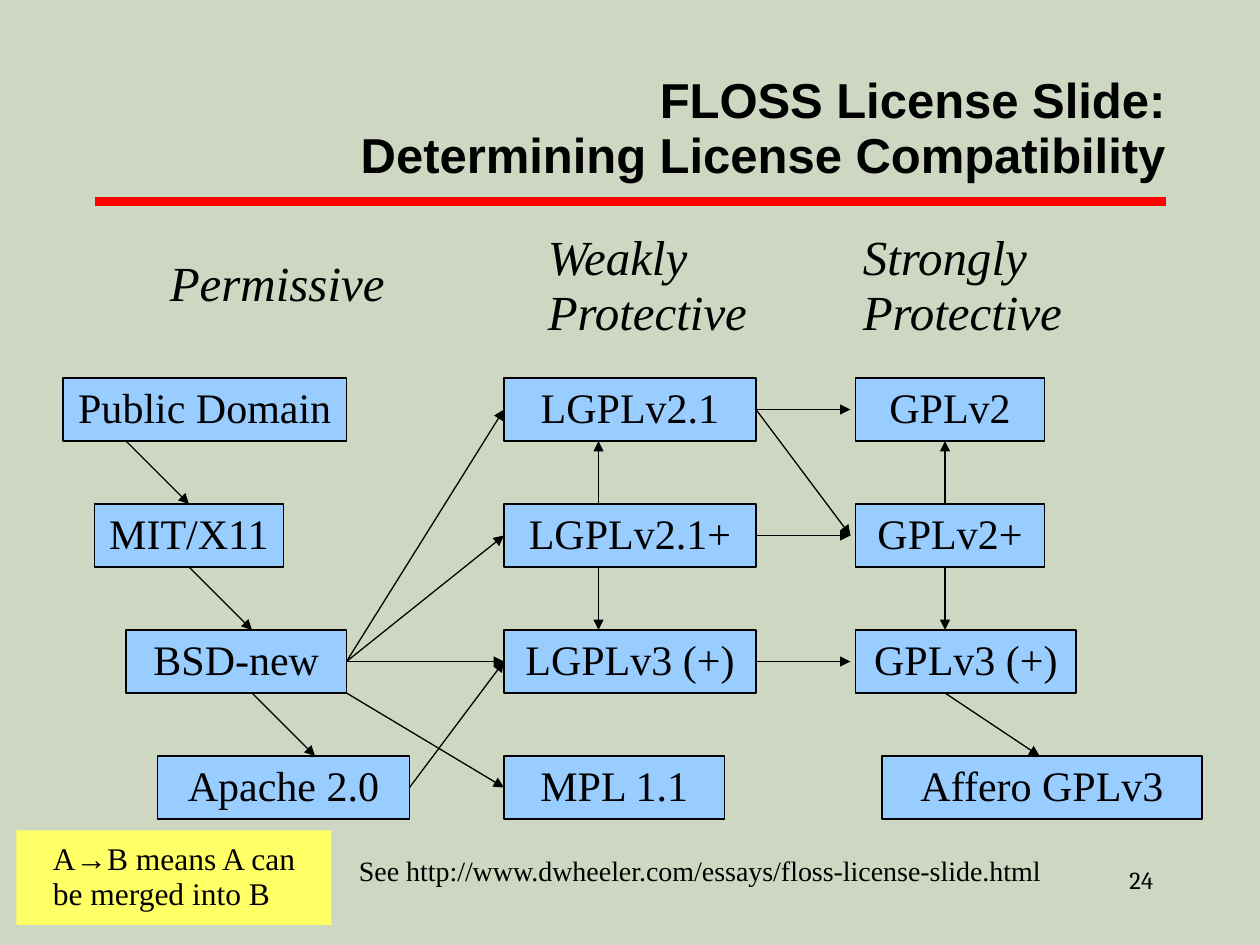
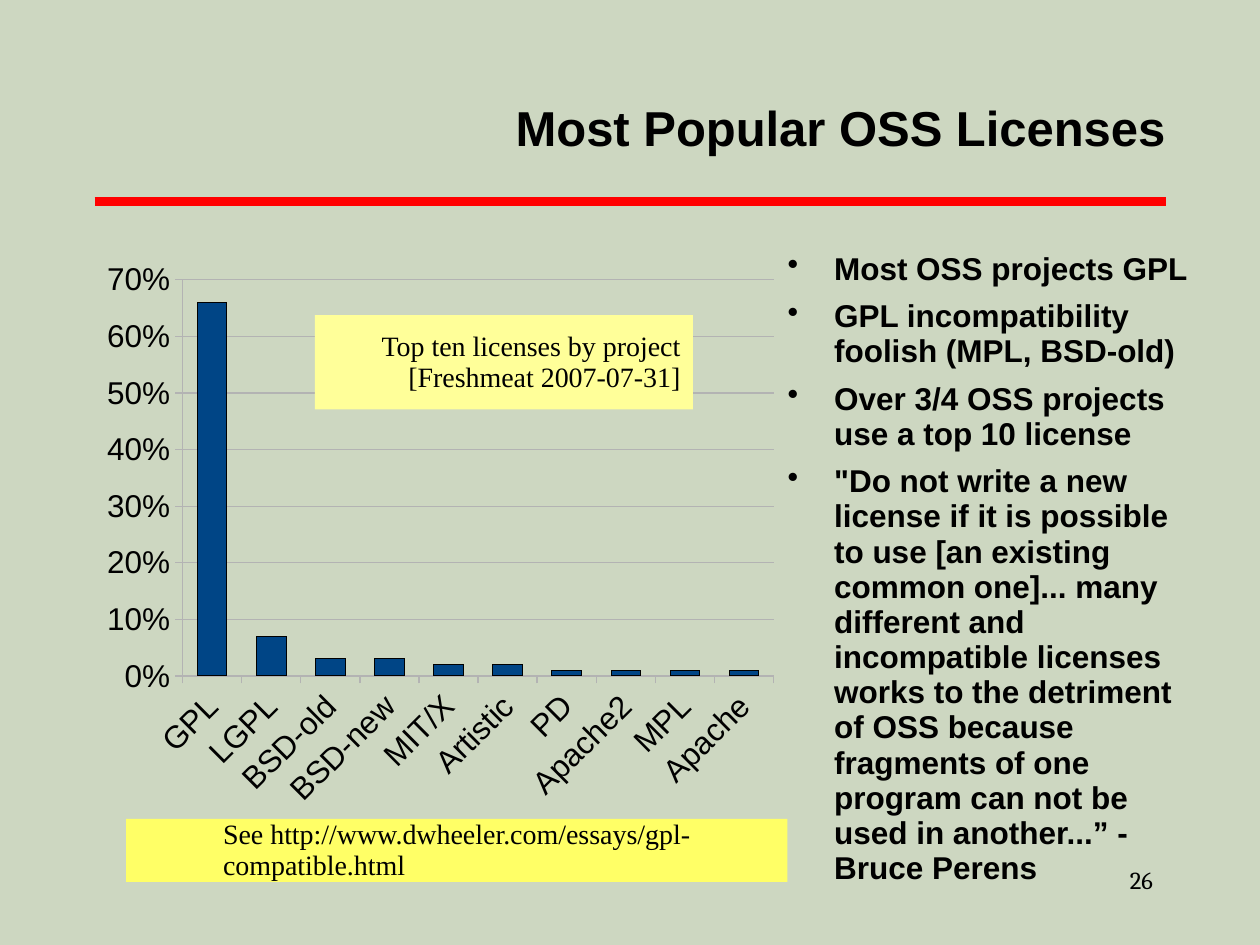
from typing import NamedTuple, Optional

import pptx
import pptx.chart.data
import pptx.dml.color
import pptx.enum.chart
import pptx.enum.dml
import pptx.enum.shapes
import pptx.enum.text
import pptx.oxml
import pptx.oxml.ns
import pptx.util
from lxml import etree

RGBColor = pptx.dml.color.RGBColor
ALIGN = pptx.enum.text.PP_ALIGN
ANCHOR = pptx.enum.text.MSO_ANCHOR
qn = pptx.oxml.ns.qn

PX = 9144  # EMU per px, 100 px to the inch

SAGE = RGBColor(0xCD, 0xD7, 0xC1)
RED = RGBColor(0xFF, 0x00, 0x00)
BLACK = RGBColor(0x00, 0x00, 0x00)
SKY = RGBColor(0x99, 0xCC, 0xFF)
YELLOW = RGBColor(0xFF, 0xFF, 0x66)
PALE_YELLOW = RGBColor(0xFF, 0xFF, 0x99)
NAVY = RGBColor(0x00, 0x45, 0x86)
GREY = RGBColor(0xB3, 0xB3, 0xB3)


class Style(NamedTuple):
    size: int
    font: str = "Times New Roman"
    bold: bool = False
    italic: bool = False


TITLE = Style(28, "Arial", bold=True)
PAGE_NUMBER = Style(14, "Cambria")
FAMILY = Style(28, italic=True)
LICENSE = Style(24)
LEGEND = Style(18)
REFERENCE = Style(16)
BULLET = Style(18, "Arial", bold=True)
AXIS = Style(18, "Arial")


class Area(NamedTuple):
    left: int
    top: int
    width: int
    height: int

    def emu(self) -> list[int]:
        return [length * PX for length in self]


class Insets(NamedTuple):
    left: int = 10
    top: int = 5
    right: int = 10
    bottom: int = 5


NO_INSETS = Insets(0, 0, 0, 0)


class Point(NamedTuple):
    x: float
    y: float


class License(NamedTuple):
    name: str
    left: int
    row: int
    width: int

    def area(self) -> Area:
        return Area(self.left, 300 + 100 * self.row, self.width, 50)

    def side_middles(self) -> list[Point]:
        """Middles of the sides, in connection site order."""
        left, top, width, height = self.area()
        x, y = left + width / 2, top + height / 2
        return [Point(x, top), Point(left, y), Point(x, top + height), Point(left + width, y)]


LICENSES = [
    License("Public Domain", 50, 0, 225),
    License("MIT/X11", 75, 1, 150),
    License("BSD-new", 100, 2, 175),
    License("Apache 2.0", 125, 3, 200),
    License("LGPLv2.1", 400, 0, 200),
    License("LGPLv2.1+", 400, 1, 200),
    License("LGPLv3 (+)", 400, 2, 200),
    License("MPL 1.1", 400, 3, 175),
    License("GPLv2", 679, 0, 150),
    License("GPLv2+", 679, 1, 150),
    License("GPLv3 (+)", 679, 2, 175),
    License("Affero GPLv3", 700, 3, 254),
]

FAMILIES = {
    "Permissive": Area(125, 200, 210, 53),
    "Weakly\nProtective": Area(425, 179, 190, 96),
    "Strongly\nProtective": Area(675, 179, 190, 96),
}

BSD_OUT = Point(275, 525)
MERGES = [
    *[(Point(100 + 50 * i, 350 + 100 * i), Point(150 + 50 * i, 400 + 100 * i)) for i in range(3)],
    *[(BSD_OUT, Point(400, y)) for y in (325, 425, 525)],
    *[(Point(x, start), Point(x, end)) for x in (475, 750) for start, end in ((400, 350), (450, 500))],
    *[(Point(600, y), Point(675, y)) for y in (325, 425, 525)],
    (Point(600, 325), Point(675, 425)),
    (Point(325, 625), Point(400, 525)),
    (Point(275, 550), Point(400, 625)),
    (Point(750, 550), Point(825, 600)),
]

SHARES = {
    "GPL": 0.66, "LGPL": 0.07, "BSD-old": 0.03, "BSD-new": 0.03, "MIT/X": 0.02,
    "Artistic": 0.02, "PD": 0.01, "Apache2": 0.01, "MPL": 0.01, "Apache": 0.01,
}

FINDINGS = [
    "Most OSS projects GPL",
    "GPL incompatibility foolish (MPL, BSD-old)",
    "Over 3/4 OSS projects use a top 10 license",
    '"Do not write a new license if it is possible to use [an existing common one]... '
    "many different and incompatible licenses works to the detriment of OSS because "
    "fragments of one program can not be used in another...” - Bruce Perens",
]


def set_font(font, style: Style) -> None:
    font.name = style.font
    font.size = pptx.util.Pt(style.size)
    font.bold = style.bold
    font.italic = style.italic
    font.color.rgb = BLACK


def write(shape, text: str, style: Style, align=ALIGN.LEFT, anchor=ANCHOR.TOP,
          insets: Insets = Insets(), bulleted: bool = False) -> None:
    """Fill a shape with text; a newline starts a paragraph, a vertical tab a line."""
    frame = shape.text_frame
    frame.word_wrap = True
    frame.vertical_anchor = anchor
    frame.margin_left, frame.margin_top, frame.margin_right, frame.margin_bottom = (
        inset * PX for inset in insets)
    frame.text = text
    for index, paragraph in enumerate(frame.paragraphs):
        if bulleted:
            properties = paragraph._p.get_or_add_pPr()
            properties.set("marL", str(37 * PX))
            properties.set("indent", str(-37 * PX))
            etree.SubElement(properties, qn("a:buChar")).set("char", "•")
            if index:
                paragraph.space_before = pptx.util.Pt(7)
        paragraph.alignment = align
        paragraph.line_spacing = 0.93
        set_font(paragraph.font, style)


def add_text(slide, area: Area, text: str, style: Style, **layout) -> None:
    write(slide.shapes.add_textbox(*area.emu()), text, style, **layout)


def add_panel(slide, area: Area, fill: RGBColor, text: str, style: Style,
              outline: Optional[RGBColor] = None, **layout):
    panel = slide.shapes.add_shape(pptx.enum.shapes.MSO_SHAPE.RECTANGLE, *area.emu())
    panel.shadow.inherit = False
    panel.fill.solid()
    panel.fill.fore_color.rgb = fill
    if outline is None:
        panel.line.fill.background()
    else:
        panel.line.color.rgb = outline
        panel.line.width = pptx.util.Pt(0.75)
    write(panel, text, style, anchor=ANCHOR.MIDDLE, **layout)
    return panel


def add_line(slide, start: Point, end: Point, color: RGBColor, weight: float):
    ends = [round(length * PX) for length in (*start, *end)]
    line = slide.shapes.add_connector(pptx.enum.shapes.MSO_CONNECTOR.STRAIGHT, *ends)
    line.line.color.rgb = color
    line.line.width = pptx.util.Pt(weight)
    etree.SubElement(line._element.spPr, qn("a:effectLst"))
    return line


def add_merge_arrow(slide, start: Point, end: Point, sites: dict) -> None:
    """Draw an arrow, joined to a box wherever it ends at the middle of a side."""
    arrow = add_line(slide, start, end, BLACK, 0.75)
    etree.SubElement(arrow.line._get_or_add_ln(), qn("a:tailEnd")).set("type", "triangle")
    if start in sites:
        arrow.begin_connect(*sites[start])
    if end in sites:
        arrow.end_connect(*sites[end])


def add_base_slide(deck, title: str, number: int):
    slide = deck.slides.add_slide(deck.slide_layouts[6])
    slide.background.fill.solid()
    slide.background.fill.fore_color.rgb = SAGE
    add_line(slide, Point(75, 160), Point(925, 160), RED, 5)
    add_text(slide, Area(758, 684, 167, 33), str(number), PAGE_NUMBER, align=ALIGN.RIGHT)
    add_text(slide, Area(225, 57, 700, 92), title, TITLE, align=ALIGN.RIGHT,
             anchor=ANCHOR.MIDDLE, insets=NO_INSETS)
    return slide


def set_hairline(line, color: RGBColor) -> None:
    line.color.rgb = color
    line.width = 0


def add_share_chart(slide) -> None:
    data = pptx.chart.data.CategoryChartData(number_format="0%")
    data.categories = list(SHARES)
    data.add_series("Series 1", list(SHARES.values()))
    chart = slide.shapes.add_chart(
        pptx.enum.chart.XL_CHART_TYPE.COLUMN_CLUSTERED, *Area(74, 199, 551, 451).emu(), data).chart
    chart.has_legend = False
    chart.has_title = False
    set_font(chart.font, Style(10, "Arial"))

    plot = chart.plots[0]
    plot.gap_width = 100
    plot.vary_by_categories = False
    bars = plot.series[0].format
    bars.fill.solid()
    bars.fill.fore_color.rgb = NAVY
    set_hairline(bars.line, BLACK)

    for axis in (chart.category_axis, chart.value_axis):
        axis.major_tick_mark = pptx.enum.chart.XL_TICK_MARK.OUTSIDE
        axis.minor_tick_mark = pptx.enum.chart.XL_TICK_MARK.NONE
        set_hairline(axis.format.line, GREY)
        set_font(axis.tick_labels.font, AXIS)
    licenses, share = chart.category_axis, chart.value_axis
    licenses.tick_label_position = pptx.enum.chart.XL_TICK_LABEL_POSITION.LOW
    licenses._element.find(qn("c:txPr")).find(qn("a:bodyPr")).set("rot", str(-45 * 60000))
    share.minimum_scale, share.maximum_scale, share.major_unit = 0, 0.7, 0.1
    share.tick_labels.number_format = "0%"
    share.tick_labels.number_format_is_linked = False
    set_hairline(share.major_gridlines.format.line, GREY)

    plot_area = chart._chartSpace.chart.plotArea
    for layout in plot_area.findall(qn("c:layout")):
        plot_area.remove(layout)
    layout = etree.Element(qn("c:layout"))
    manual = etree.SubElement(layout, qn("c:manualLayout"))
    for tag, value in (("layoutTarget", "outer"), ("xMode", "edge"), ("yMode", "edge"),
                       ("x", "0.02"), ("y", "0.02"), ("w", "0.96"), ("h", "0.96")):
        etree.SubElement(manual, qn(f"c:{tag}")).set("val", value)
    plot_area.insert(0, layout)


def add_compatibility_slide(deck) -> None:
    slide = add_base_slide(deck, "FLOSS License Slide:\vDetermining License Compatibility", 24)
    for family, area in FAMILIES.items():
        add_text(slide, area, family, FAMILY)
    sites = {}
    for entry in LICENSES:
        box = add_panel(slide, entry.area(), SKY, entry.name, LICENSE,
                        outline=BLACK, align=ALIGN.CENTER)
        sites.update({middle: (box, site) for site, middle in enumerate(entry.side_middles())})
    for start, end in MERGES:
        add_merge_arrow(slide, start, end, sites)
    add_text(slide, Area(275, 675, 621, 38),
             "See http://www.dwheeler.com/essays/floss-license-slide.html", REFERENCE)
    add_panel(slide, Area(13, 659, 250, 75), YELLOW, "A→B means A can\vbe merged into B",
              LEGEND, insets=Insets(left=29))


def add_popularity_slide(deck) -> None:
    slide = add_base_slide(deck, "Most Popular OSS Licenses", 26)
    add_share_chart(slide)
    add_text(slide, Area(625, 200, 325, 522), "\n".join(FINDINGS), BULLET,
             insets=NO_INSETS, bulleted=True)
    add_panel(slide, Area(250, 250, 300, 75), PALE_YELLOW,
              "Top ten licenses by project\v[Freshmeat 2007-07-31]", REFERENCE, align=ALIGN.RIGHT)
    add_panel(slide, Area(100, 650, 525, 50), YELLOW,
              "See http://www.dwheeler.com/essays/gpl-compatible.html", REFERENCE,
              insets=Insets(left=77, right=70))


def main() -> None:
    deck = pptx.Presentation()
    deck.slide_width, deck.slide_height = 1000 * PX, 750 * PX
    add_compatibility_slide(deck)
    add_popularity_slide(deck)
    deck.save("out.pptx")


if __name__ == "__main__":
    main()
